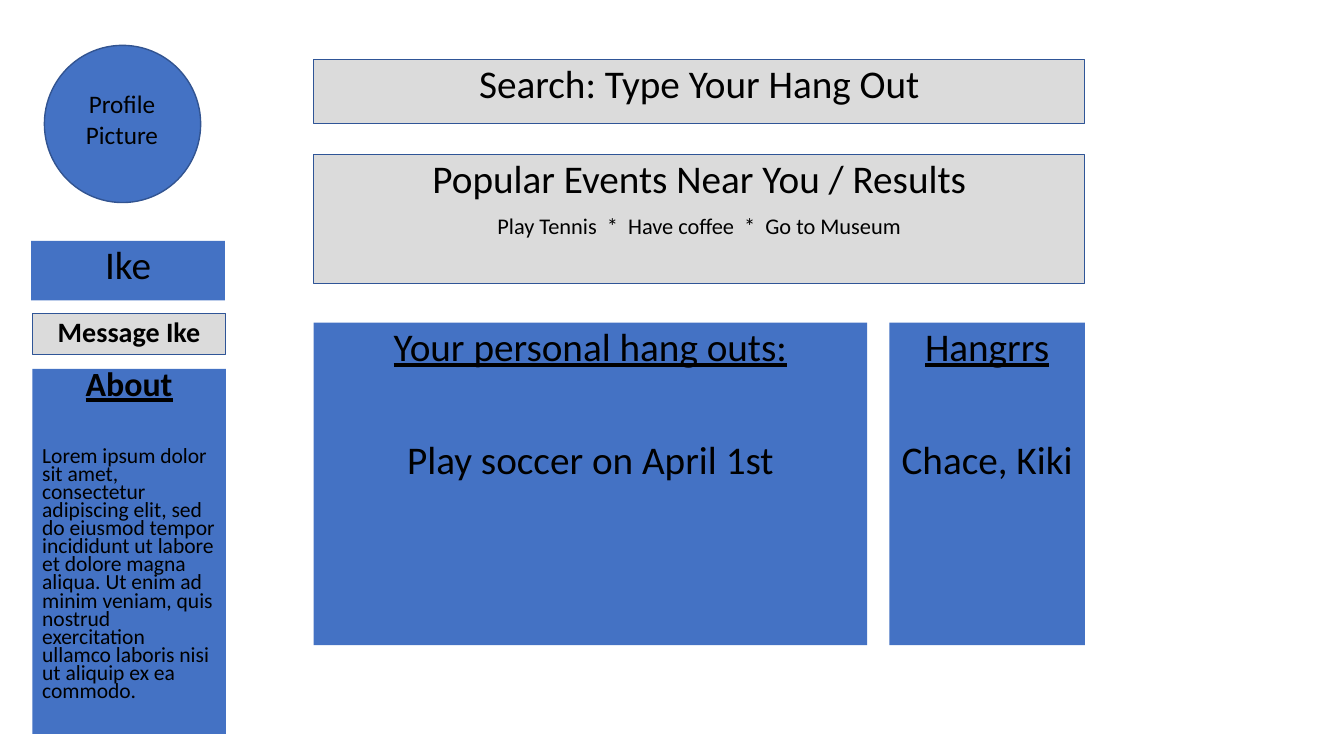
from dataclasses import dataclass
from typing import Optional

from pptx import Presentation
from pptx import util as u
from pptx.dml.color import RGBColor
from pptx.enum import shapes, text

PX = 9144  # EMU per px, 100 px to the inch


@dataclass(frozen=True)
class Theme:
    font: str = "Calibri"
    ink: str = "000000"
    blue: str = "4472C4"
    gray: str = "DBDBDB"
    gray_edge: str = "2F5597"
    avatar_edge: str = "325491"
    heading: float = 28
    about: float = 24.2
    button: float = 20
    label: float = 18
    detail: float = 16
    body: float = 15.4


THEME = Theme()


@dataclass(frozen=True)
class Line:
    wording: str
    size: float = THEME.heading
    bold: bool = False
    underline: bool = False
    before: float = 0
    centered: bool = True


@dataclass(frozen=True)
class Panel:
    left: int
    top: int
    width: int
    height: int
    fill: str
    lines: tuple[Line, ...] = ()
    edge: Optional[str] = None
    edge_width: float = 0.75
    spacing: float = 0.9
    outline: shapes.MSO_SHAPE = shapes.MSO_SHAPE.RECTANGLE


def px(*lengths: int) -> list[int]:
    return [u.Emu(length * PX) for length in lengths]


def write_lines(frame, lines: tuple[Line, ...], spacing: float) -> None:
    frame.word_wrap = True
    frame.vertical_anchor = text.MSO_ANCHOR.TOP
    for index, line in enumerate(lines):
        paragraph = frame.add_paragraph() if index else frame.paragraphs[0]
        paragraph.text = line.wording
        paragraph.alignment = text.PP_ALIGN.CENTER if line.centered else text.PP_ALIGN.LEFT
        paragraph.line_spacing = spacing
        paragraph.space_before = u.Pt(line.before)
        font = paragraph.font
        font.name = THEME.font
        font.size = u.Pt(line.size)
        font.bold = line.bold
        font.underline = line.underline
        font.color.rgb = RGBColor.from_string(THEME.ink)


def draw_panel(slide, panel: Panel) -> None:
    shape = slide.shapes.add_shape(
        panel.outline, *px(panel.left, panel.top, panel.width, panel.height))
    shape.shadow.inherit = False
    shape.fill.solid()
    shape.fill.fore_color.rgb = RGBColor.from_string(panel.fill)
    if panel.edge:
        shape.line.color.rgb = RGBColor.from_string(panel.edge)
        shape.line.width = u.Pt(panel.edge_width)
    else:
        shape.line.fill.background()
    if panel.lines:
        write_lines(shape.text_frame, panel.lines, panel.spacing)


def hangout_lines(title: str, entry: str) -> tuple[Line, ...]:
    return Line(title, underline=True), Line(entry, before=50.7)


ABOUT_TEXT = (
    "Lorem ipsum dolor sit amet, consectetur adipiscing elit, sed do eiusmod tempor "
    "incididunt ut labore et dolore magna aliqua. Ut enim ad minim veniam, quis nostrud "
    "exercitation ullamco laboris nisi ut aliquip ex ea commodo."
)

PANELS = (
    Panel(311, 59, 765, 64, THEME.gray, (Line("Search: Type Your Hang Out"),),
          THEME.gray_edge),
    Panel(44, 45, 155, 156, THEME.blue, edge=THEME.avatar_edge, edge_width=1,
          outline=shapes.MSO_SHAPE.OVAL),
    Panel(311, 320, 549, 320, THEME.blue,
          hangout_lines("Your personal hang outs:", "Play soccer on April 1st")),
    Panel(32, 366, 192, 362, THEME.blue,
          (Line("About", THEME.about, bold=True, underline=True),
           Line(ABOUT_TEXT, THEME.body, before=33.2, centered=False)),
          spacing=0.7),
    Panel(882, 320, 194, 320, THEME.blue, hangout_lines("Hangrrs", "Chace, Kiki")),
    Panel(31, 239, 192, 59, THEME.blue, (Line("Ike"),)),
    Panel(32, 311, 192, 41, THEME.gray, (Line("Message Ike", THEME.button, bold=True),),
          THEME.gray_edge),
    Panel(311, 153, 765, 128, THEME.gray,
          (Line("Popular Events Near You / Results"),
           Line("Play Tennis  *  Have coffee  *  Go to Museum", THEME.detail, before=10)),
          THEME.gray_edge),
)


def main() -> None:
    presentation = Presentation()
    presentation.slide_width, presentation.slide_height = px(1333, 750)
    slide = presentation.slides.add_slide(presentation.slide_layouts[6])
    for panel in PANELS:
        draw_panel(slide, panel)
    avatar_label = slide.shapes.add_textbox(*px(60, 83, 122, 71))
    write_lines(avatar_label.text_frame, (Line("Profile Picture", THEME.label),), 1.0)
    presentation.save("out.pptx")


if __name__ == "__main__":
    main()
